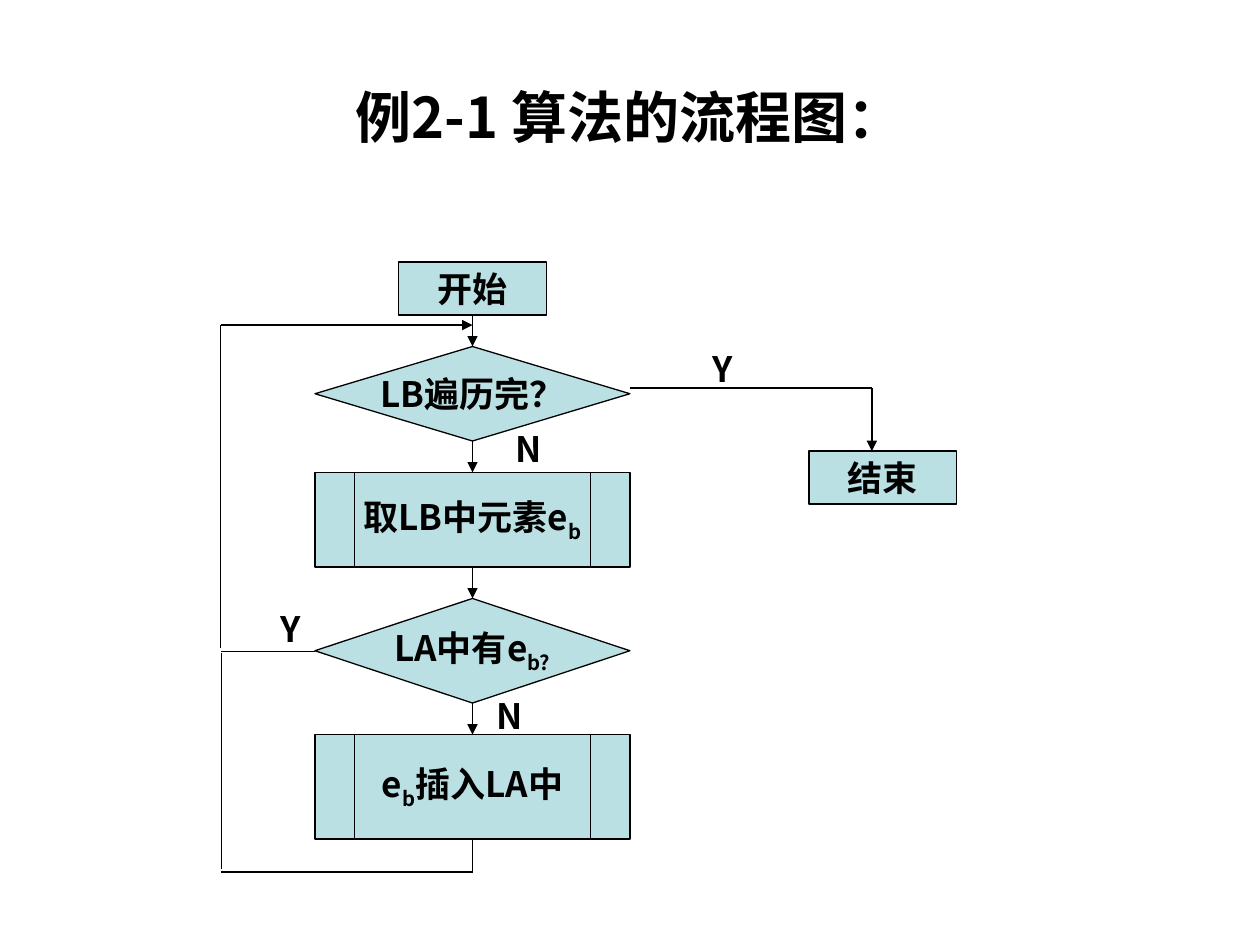
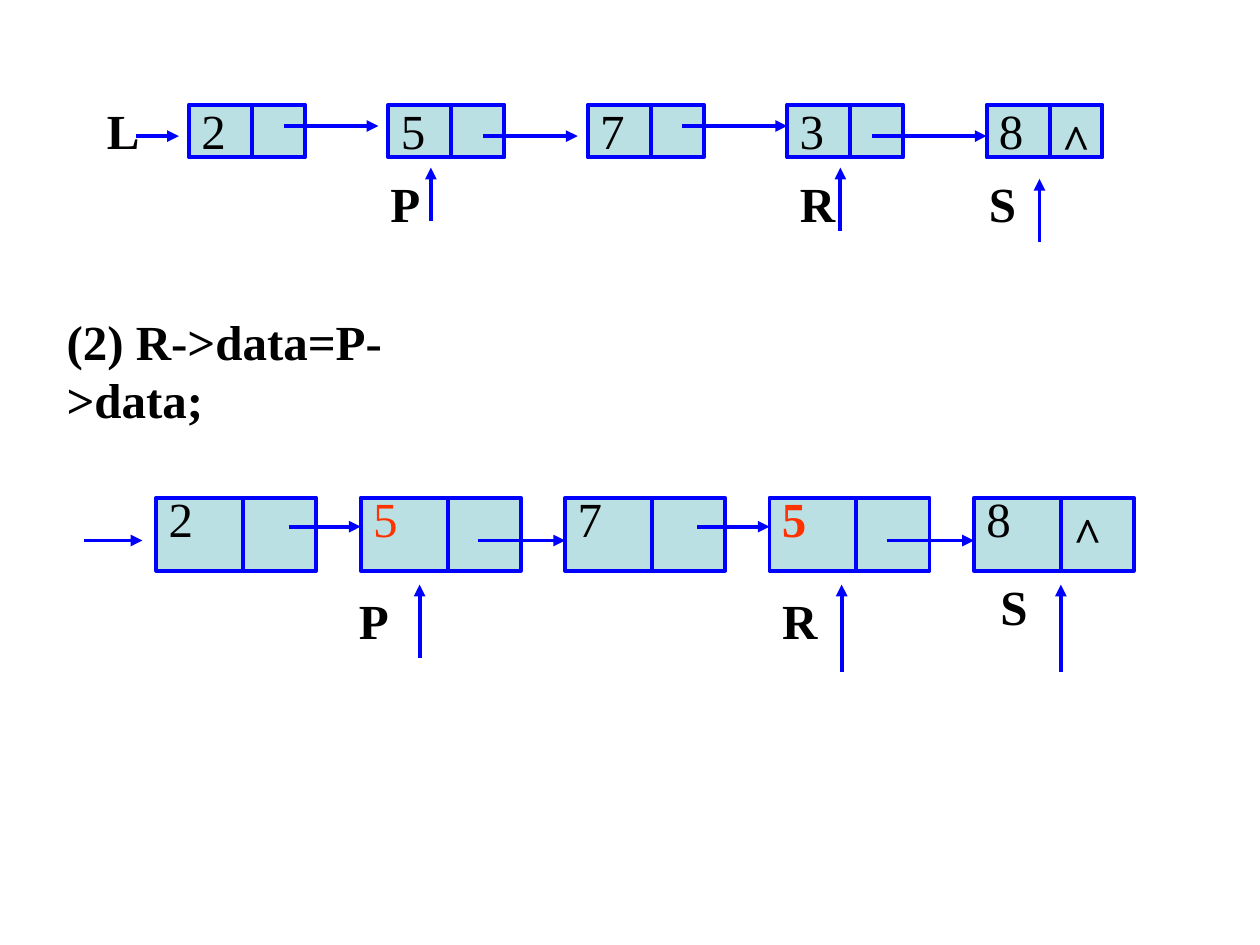
from dataclasses import dataclass

from lxml.etree import SubElement
from pptx import Presentation
from pptx.dml.color import RGBColor
from pptx.enum.shapes import MSO_CONNECTOR as Link, MSO_SHAPE as Shape
from pptx.enum.text import MSO_ANCHOR as Anchor, MSO_AUTO_SIZE as AutoSize, PP_ALIGN as Align
from pptx.oxml.ns import qn
from pptx.util import Inches, Pt


@dataclass(frozen=True)
class Theme:
    ink: str = "000000"
    fill: str = "BBE0E3"
    blue: str = "0000FF"
    red: str = "FF3300"
    chart_font: str = "Noto Sans CJK SC"
    list_font: str = "Times New Roman"
    title_size: int = 32
    chart_size: int = 20
    list_size: int = 28
    thin: float = 0.75
    thick: float = 2.25


THEME = Theme()


# Text and shapes
def style_span(span, font, size, color=THEME.ink, bold=True):
    span.font.name = font
    span.font.size = Pt(size)
    span.font.bold = bold
    span.font.color.rgb = RGBColor.from_string(color)
    SubElement(span.font._element, qn("a:ea")).set("typeface", font)


def fill_text(frame, text, font, size, **look):
    """Write text; a piece between underscores becomes a subscript."""
    para = frame.paragraphs[0]
    for number, piece in enumerate(text.split("_")):
        if piece:
            span = para.add_run()
            span.text = piece
            style_span(span, font, size, **look)
            if number % 2:
                span.font._element.set("baseline", "-25000")
    return para


def add_text(shapes, at, text, font, size, wrap=True, **look):
    box = shapes.add_textbox(*map(Inches, at))
    frame = box.text_frame
    frame.word_wrap = wrap
    frame.auto_size = AutoSize.SHAPE_TO_FIT_TEXT
    fill_text(frame, text, font, size, **look)
    return box


def add_block(shapes, kind, at, line_color, width):
    block = shapes.add_shape(kind, *map(Inches, at))
    block.shadow.inherit = False
    block.fill.solid()
    block.fill.fore_color.rgb = RGBColor.from_string(THEME.fill)
    block.line.color.rgb = RGBColor.from_string(line_color)
    block.line.width = Pt(width)
    return block


def add_line(shapes, start, end, color, width, arrow=False):
    line = shapes.add_connector(Link.STRAIGHT, *map(Inches, (*start, *end)))
    line.line.color.rgb = RGBColor.from_string(color)
    line.line.width = Pt(width)
    if arrow:
        SubElement(line.line._get_or_add_ln(), qn("a:tailEnd")).set("type", "triangle")
    SubElement(line._element.spPr, qn("a:effectLst"))


# Flow chart
def add_step(shapes, kind, at, text):
    step = add_block(shapes, kind, at, THEME.ink, THEME.thin)
    frame = step.text_frame
    frame.word_wrap = False
    frame.vertical_anchor = Anchor.MIDDLE
    fill_text(frame, text, THEME.chart_font, THEME.chart_size).alignment = Align.CENTER


def add_route(shapes, points, arrow=False):
    """Join points with straight lines; only the last one may carry an arrowhead."""
    for number, (start, end) in enumerate(zip(points, points[1:]), 2):
        last = number == len(points)
        add_line(shapes, start, end, THEME.ink, THEME.thin, arrow and last)


def build_flow_chart(page):
    shapes = page.shapes
    title = shapes.add_textbox(*map(Inches, (0.5, 0.3, 9, 1.25)))
    title.text_frame.word_wrap = True
    title.text_frame.vertical_anchor = Anchor.MIDDLE
    fill_text(title.text_frame, "例2-1 算法的流程图：", THEME.chart_font,
              THEME.title_size).alignment = Align.CENTER

    # Main column: kind, top, width, height, text
    center, back = 3.75, 1.75
    steps = [
        (Shape.FLOWCHART_PROCESS, 2.08, 1.17, 0.42, "开始"),
        (Shape.FLOWCHART_DECISION, 2.75, 2.5, 0.75, "LB遍历完？"),
        (Shape.FLOWCHART_PREDEFINED_PROCESS, 3.75, 2.5, 0.75, "取LB中元素e_b_"),
        (Shape.FLOWCHART_DECISION, 4.75, 2.5, 0.83, "LA中有e_b?_"),
        (Shape.FLOWCHART_PREDEFINED_PROCESS, 5.83, 2.5, 0.83, "e_b_插入LA中"),
    ]
    for kind, top, width, height, text in steps:
        add_step(shapes, kind, (center - width / 2, top, width, height), text)
    add_step(shapes, Shape.FLOWCHART_PROCESS, (6.42, 3.58, 1.17, 0.42), "结束")

    # Arrows down the column, the exit branch and the way back
    for upper, lower in zip(steps, steps[1:]):
        add_route(shapes, [(center, upper[1] + upper[3]), (center, lower[1])], arrow=True)
    add_route(shapes, [(5, 3.08), (6.92, 3.08), (6.92, 3.58)], arrow=True)
    add_route(shapes, [(2.5, 5.17), (back, 5.17)])
    add_route(shapes, [(center, 6.67), (center, 6.92), (back, 6.92)])
    add_route(shapes, [(back, 5.14), (back, 2.58), (center, 2.58)], arrow=True)
    add_route(shapes, [(1.76, 5.18), (1.76, 6.9)])

    for left, top, answer in [(5.56, 2.71, "Y"), (3.99, 3.34, "N"),
                              (2.13, 4.77, "Y"), (3.84, 5.46, "N")]:
        add_text(shapes, (left, top, 0.37, 0.44), answer,
                 THEME.chart_font, THEME.chart_size, wrap=False)


# Linked lists
@dataclass(frozen=True)
class ChainLayout:
    first: float
    last: float
    top: float
    width: float
    height: float
    data_width: float
    text_top: float
    link_starts: tuple
    link_gaps: tuple
    link_levels: tuple


def add_list_text(shapes, at, text, **look):
    return add_text(shapes, at, text, THEME.list_font, THEME.list_size, **look)


def add_arrow(shapes, start, end):
    add_line(shapes, start, end, THEME.blue, THEME.thick, arrow=True)


def add_chain(shapes, layout, values):
    pitch = (layout.last - layout.first) / (len(values) - 1)
    lefts = [layout.first + pitch * number for number in range(len(values))]
    top, bottom = layout.top, layout.top + layout.height
    for left, (value, color, bold) in zip(lefts, values):
        divider = left + layout.data_width
        add_block(shapes, Shape.RECTANGLE, (left, top, layout.width, layout.height),
                  THEME.blue, THEME.thick)
        add_line(shapes, (divider, top), (divider, bottom), THEME.blue, THEME.thick)
        add_list_text(shapes, (left, layout.text_top, layout.data_width, 0.57), value,
                      color=color, bold=bold)

    # Links alternate between two heights
    for number, (start, gap) in enumerate(zip(layout.link_starts, layout.link_gaps)):
        level = layout.link_levels[number % 2]
        add_arrow(shapes, (lefts[number] + start, level), (lefts[number + 1] - gap, level))
    add_list_text(shapes, (layout.last + layout.data_width, top,
                           layout.width - layout.data_width, 0.57), "^")


def add_pointer(shapes, name, text_at, arrow_x, arrow_top, arrow_bottom, wrap=True):
    add_list_text(shapes, (*text_at, 0.57), name, wrap=wrap)
    add_arrow(shapes, (arrow_x, arrow_bottom), (arrow_x, arrow_top))


def build_linked_lists(page):
    def plain(value):
        return value, THEME.ink, False

    # Before the assignment
    before = page.shapes.add_group_shape().shapes
    add_list_text(before, (0.75, 0.75, 0.5, 0.57), "L")
    add_arrow(before, (1.08, 1.08), (1.42, 1.08))
    add_chain(before, ChainLayout(
        first=1.5, last=7.83, top=0.83, width=0.92, height=0.42, data_width=0.5,
        text_top=0.75, link_starts=(0.75, 0.75, 0.75, 0.67),
        link_gaps=(0.08, 0.08, 0, 0), link_levels=(1, 1.08),
    ), [plain(value) for value in "25738"])
    add_pointer(before, "P", (3, 1.33, 1.17), 3.42, 1.33, 1.75)
    add_pointer(before, "R", (6.25, 1.33, 0.83), 6.67, 1.33, 1.83)
    add_pointer(before, "S", (7.75, 1.33, 0.75), 8.25, 1.42, 1.92)

    statement = add_list_text(page.shapes, (0.43, 2.42, 3.78, 0.57),
                              "(2) R->data=P->data;", wrap=False)
    statement.text_frame.paragraphs[0].space_before = Pt(0)

    # After the assignment
    after = page.shapes.add_group_shape().shapes
    add_arrow(after, (0.67, 4.29), (1.13, 4.29))
    add_chain(after, ChainLayout(
        first=1.24, last=7.73, top=3.95, width=1.27, height=0.58, data_width=0.69,
        text_top=3.83, link_starts=(1.05, 0.93, 1.05, 0.93),
        link_gaps=(0, 0, 0, 0), link_levels=(4.18, 4.29),
    ), [plain("2"), ("5", THEME.red, False), plain("7"), ("5", THEME.red, True), plain("8")])
    add_pointer(after, "P", (2.75, 4.64, 1.62), 3.33, 4.64, 5.22)
    add_pointer(after, "R", (6.11, 4.64, 1.16), 6.68, 4.64, 5.33)
    add_pointer(after, "S", (7.84, 4.53, 0.41), 8.42, 4.64, 5.33, wrap=False)


def main():
    deck = Presentation()
    deck.slide_width, deck.slide_height = Inches(10), Inches(7.5)
    for build in (build_flow_chart, build_linked_lists):
        build(deck.slides.add_slide(deck.slide_layouts[6]))
    deck.save("out.pptx")


if __name__ == "__main__":
    main()
